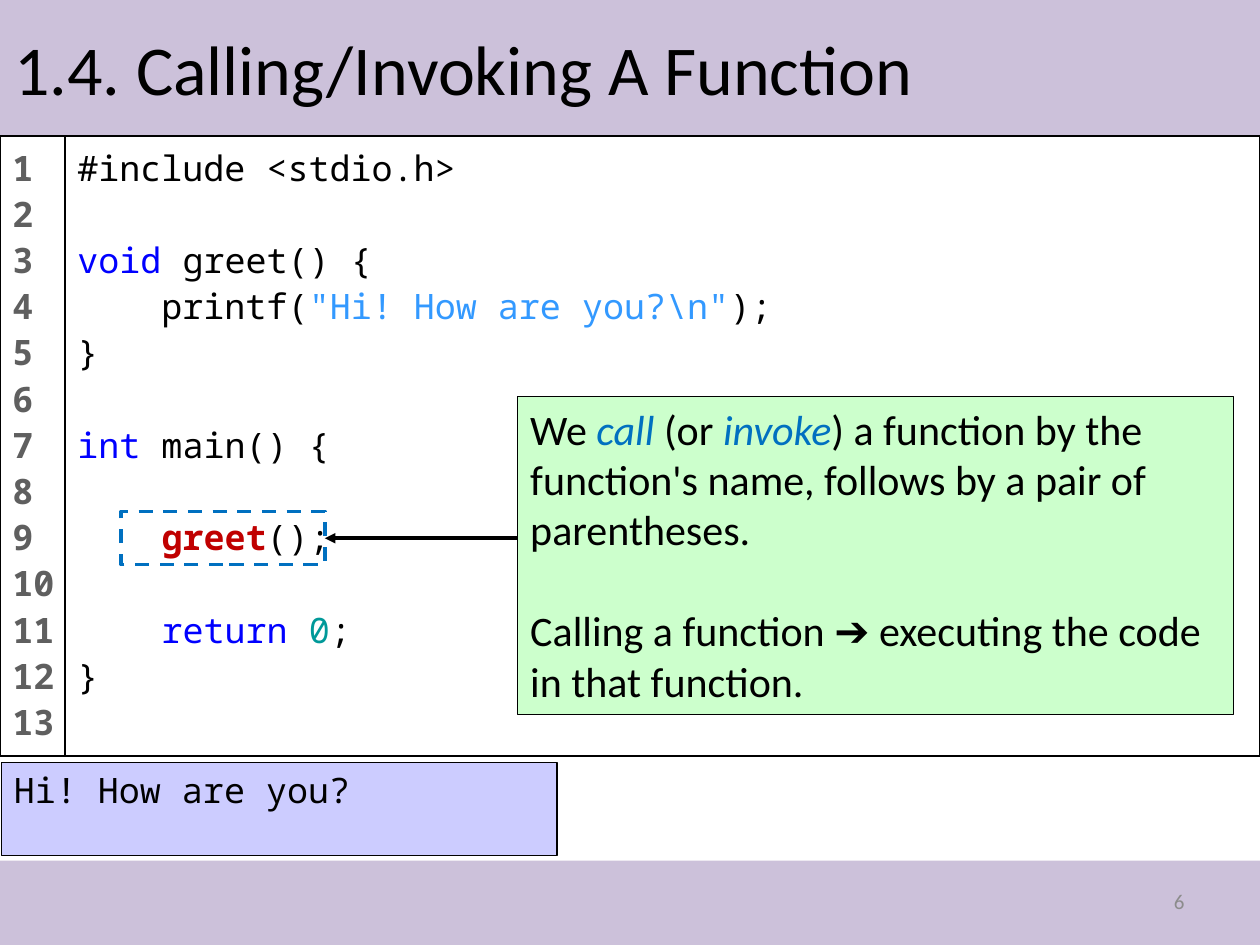
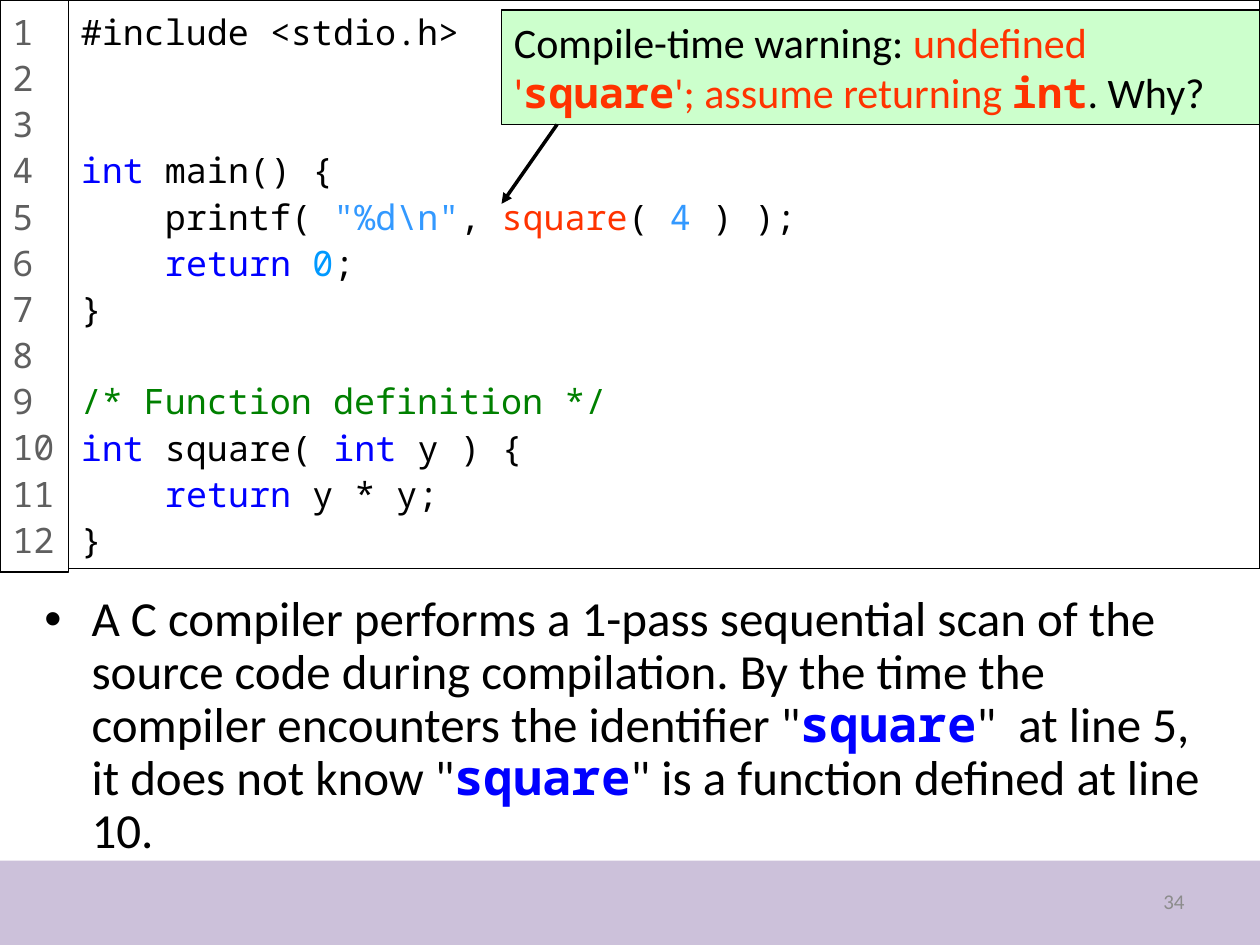
"""Build two lecture slides on calling and defining C functions."""
from dataclasses import dataclass
from typing import NamedTuple, Optional

from lxml import etree
from pptx import Presentation, util as u
from pptx.dml.color import RGBColor
from pptx.enum import dml, shapes, text
from pptx.oxml.ns import qn

SANS, MONO = "Calibri", "Noto Sans Mono"
BLACK, WHITE, LILAC, GREEN, LAVENDER = "000000", "FFFFFF", "CCC1DA", "CCFFCC", "CCCCFF"
KEYWORD, STRING, COMMENT, ALERT = "0000FF", "3399FF", "008000", "FF3300"
TEAL, SKY, CRIMSON, BLUE = "009999", "0099FF", "C00000", "0070C0"
LINE_NUMBER, PAGE_NUMBER = "5F5F5F", "8C8C8C"
WIDTH, HEIGHT, TITLE_HEIGHT, FOOTER_TOP = 25.4, 19.05, 2.74, 17.35


class Run(NamedTuple):
    text: str
    color: str = BLACK
    bold: bool = False
    italic: bool = False
    font: Optional[str] = None


class Style(NamedTuple):
    font: str
    size: int
    spacing: float = 1.0
    blank: float = 0


class Box(NamedTuple):
    left: float
    top: float
    width: float
    height: float


class Arrow(NamedTuple):
    x1: float
    y1: float
    x2: float
    y2: float


Lines = list[list[Run]]


@dataclass
class Panel:
    box: Box
    fill: Optional[str]
    lines: Lines
    style: Style
    line: str = BLACK
    weight: float = 0.75
    dashed: bool = False
    right_inset: float = 0.25


CODE = Style(MONO, 20, 1.1, 26.4)
NOTE = Style(SANS, 24, 1.0, 28.8)
OUTPUT = Style(MONO, 20)
BODY = Style(SANS, 28, 0.9)
TITLE = Style(SANS, 40)
PAGE = Style(SANS, 12)


def rgb(value: str) -> RGBColor:
    """Turn a hex string into a colour."""
    return RGBColor.from_string(value)


def cm(values: tuple) -> list[u.Cm]:
    """Turn numbers into centimetre lengths."""
    return [u.Cm(v) for v in values]


def write(tf, lines: Lines, style: Style, align=text.PP_ALIGN.LEFT) -> None:
    """Write lines run by run; an empty line becomes space before the next."""
    tf.word_wrap = True
    p, gap = tf.paragraphs[0], 0
    for i, line in enumerate(lines):
        if not line:
            gap += style.blank
            continue
        if i:
            p = tf.add_paragraph()
        p.alignment, p.line_spacing, p.space_before = align, style.spacing, u.Pt(gap)
        gap = 0
        for run in line:
            r = p.add_run()
            r.text = run.text
            r.font.name, r.font.size = run.font or style.font, u.Pt(style.size)
            r.font.bold, r.font.italic = run.bold, run.italic
            r.font.color.rgb = rgb(run.color)


def place(sp, box: Box) -> None:
    """Move and size a placeholder."""
    sp.left, sp.top, sp.width, sp.height = cm(box)


def add_panel(s, panel: Panel) -> None:
    """Draw an outlined rectangle with its text."""
    sp = s.shapes.add_shape(shapes.MSO_SHAPE.RECTANGLE, *cm(panel.box))
    sp.shadow.inherit = False
    if panel.fill:
        sp.fill.solid()
        sp.fill.fore_color.rgb = rgb(panel.fill)
    else:
        sp.fill.background()
    sp.line.color.rgb, sp.line.width = rgb(panel.line), u.Pt(panel.weight)
    if panel.dashed:
        sp.line.dash_style = dml.MSO_LINE.DASH
    tf = sp.text_frame
    tf.vertical_anchor = text.MSO_ANCHOR.TOP
    tf.margin_right = u.Cm(panel.right_inset)
    write(tf, panel.lines, panel.style)


def add_listing(s, top: float, gutter: float, heights: tuple[float, float],
                code: Lines, count: int, bold: bool) -> None:
    """Draw a code panel and its column of line numbers."""
    numbers = [[Run(str(n), LINE_NUMBER, bold)] for n in range(1, count + 1)]
    add_panel(s, Panel(Box(gutter, top, WIDTH - gutter, heights[0]), WHITE, code, CODE))
    add_panel(s, Panel(Box(0, top, gutter, heights[1]), WHITE, numbers, CODE, right_inset=0))


def add_arrow(s, arrow: Arrow) -> None:
    """Draw a black line with a triangle at its end."""
    c = s.shapes.add_connector(shapes.MSO_CONNECTOR.STRAIGHT, *cm(arrow))
    c.line.color.rgb, c.line.width = rgb(BLACK), u.Pt(2)
    etree.SubElement(c.line._get_or_add_ln(), qn("a:tailEnd"), type="triangle")
    etree.SubElement(c._element.spPr, qn("a:effectLst"))


def add_page_number(s, number: int) -> None:
    """Write the page number in the footer band."""
    sp = s.shapes.add_textbox(*cm(Box(18.21, 17.65, 5.92, 1.02)))
    sp.text_frame.vertical_anchor = text.MSO_ANCHOR.MIDDLE
    write(sp.text_frame, [[Run(str(number), PAGE_NUMBER)]], PAGE, text.PP_ALIGN.RIGHT)


def add_bands(prs, s) -> None:
    """Give the slide master its title and footer bands."""
    bands = Box(0, 0, WIDTH, TITLE_HEIGHT), Box(0, FOOTER_TOP, WIDTH, HEIGHT - FOOTER_TOP)
    for i, box in enumerate(bands):
        sp = s.shapes.add_shape(shapes.MSO_SHAPE.RECTANGLE, *cm(box))
        sp.shadow.inherit = False
        sp.fill.solid()
        sp.fill.fore_color.rgb = rgb(LILAC)
        sp.line.fill.background()
        sp._element.nvSpPr.cNvPr.set("id", str(101 + i))
        prs.slide_master.shapes._spTree.insert(2 + i, sp._element)


def build_calling(prs) -> None:
    """Build the slide on calling a function."""
    s = prs.slides.add_slide(prs.slide_layouts[5])
    add_bands(prs, s)
    title = s.shapes.title
    place(title, Box(0.03, 0, 25.37, TITLE_HEIGHT))
    title.text_frame.vertical_anchor = text.MSO_ANCHOR.MIDDLE
    write(title.text_frame, [[Run("1.4. Calling/Invoking A Function")]], TITLE)
    add_page_number(s, 6)
    code = [
        [Run("#include <stdio.h>")],
        [],
        [Run("void ", KEYWORD), Run("greet() {")],
        [Run("    printf("), Run('"Hi! How are you?\\n"', STRING), Run(");")],
        [Run("}")],
        [],
        [Run("int", KEYWORD), Run(" main() {")],
        [],
        [Run("    "), Run("greet", CRIMSON, True), Run("();")],
        [],
        [Run("    "), Run("return ", KEYWORD), Run("0", TEAL), Run(";")],
        [Run("}")],
    ]
    add_listing(s, TITLE_HEIGHT, 1.31, (12.5, 12.5), code, 13, True)
    add_panel(s, Panel(Box(0.03, 15.37, 11.2, 1.88), LAVENDER,
                       [[Run("Hi! How are you?")]], OUTPUT))
    add_panel(s, Panel(Box(2.44, 10.31, 4.11, 1.07), None, [], NOTE, BLUE, 2, True))
    note = [
        [Run("We "), Run("call ", BLUE, italic=True), Run("(or "),
         Run("invoke", BLUE, italic=True),
         Run(") a function by the function's name, follows by a pair of parentheses.")],
        [],
        [Run("Calling a function ➔ executing the code in that function.")],
    ]
    add_panel(s, Panel(Box(10.44, 8, 14.43, 6.4), GREEN, note, NOTE))
    add_arrow(s, Arrow(10.44, 10.85, 6.55, 10.85))


def build_warning(prs) -> None:
    """Build the slide on the missing function prototype."""
    s = prs.slides.add_slide(prs.slide_layouts[1])
    title = s.shapes.title._element
    title.getparent().remove(title)
    add_page_number(s, 34)
    body = s.placeholders[1]
    place(body, Box(0.64, 11.86, 24.13, 4.88))
    body.text_frame.auto_size = text.MSO_AUTO_SIZE.NONE
    name = Run("square", KEYWORD, True, font=MONO)
    write(body.text_frame, [[
        Run("A C compiler performs a 1-pass sequential scan of the source code during "
            'compilation. By the time the compiler encounters the identifier "'),
        name, Run('"  at line 5, it does not know "'),
        name, Run('" is a function defined at line 10.')]], BODY)
    code = [
        [Run("#include <stdio.h>")],
        [],
        [],
        [Run("int", KEYWORD), Run(" main() {")],
        [Run("    printf( "), Run('"%d\\n"', STRING), Run(", "), Run("square", ALERT),
         Run("( "), Run("4", STRING), Run(" ) );")],
        [Run("    "), Run("return ", KEYWORD), Run("0", SKY), Run(";")],
        [Run("}")],
        [],
        [Run("/* Function definition */", COMMENT)],
        [Run("int", KEYWORD), Run(" square( "), Run("int", KEYWORD), Run(" y ) {")],
        [Run("    "), Run("return ", KEYWORD), Run("y * y;")],
        [Run("}")],
    ]
    add_listing(s, 0, 1.38, (11.46, 11.53), code, 12, False)
    warning = [[
        Run("Compile-time warning: "), Run("undefined '", ALERT),
        Run("square", ALERT, True, font=MONO), Run("'; assume returning ", ALERT),
        Run("int", ALERT, True, font=MONO), Run(". Why?")]]
    add_panel(s, Panel(Box(10.11, 0.2, 15.29, 2.31), GREEN, warning, NOTE))
    add_arrow(s, Arrow(11.23, 2.51, 10.11, 4.11))


def main() -> None:
    """Build and save the deck."""
    prs = Presentation()
    prs.slide_width, prs.slide_height = cm((WIDTH, HEIGHT))
    build_calling(prs)
    build_warning(prs)
    prs.save("out.pptx")


if __name__ == "__main__":
    main()
